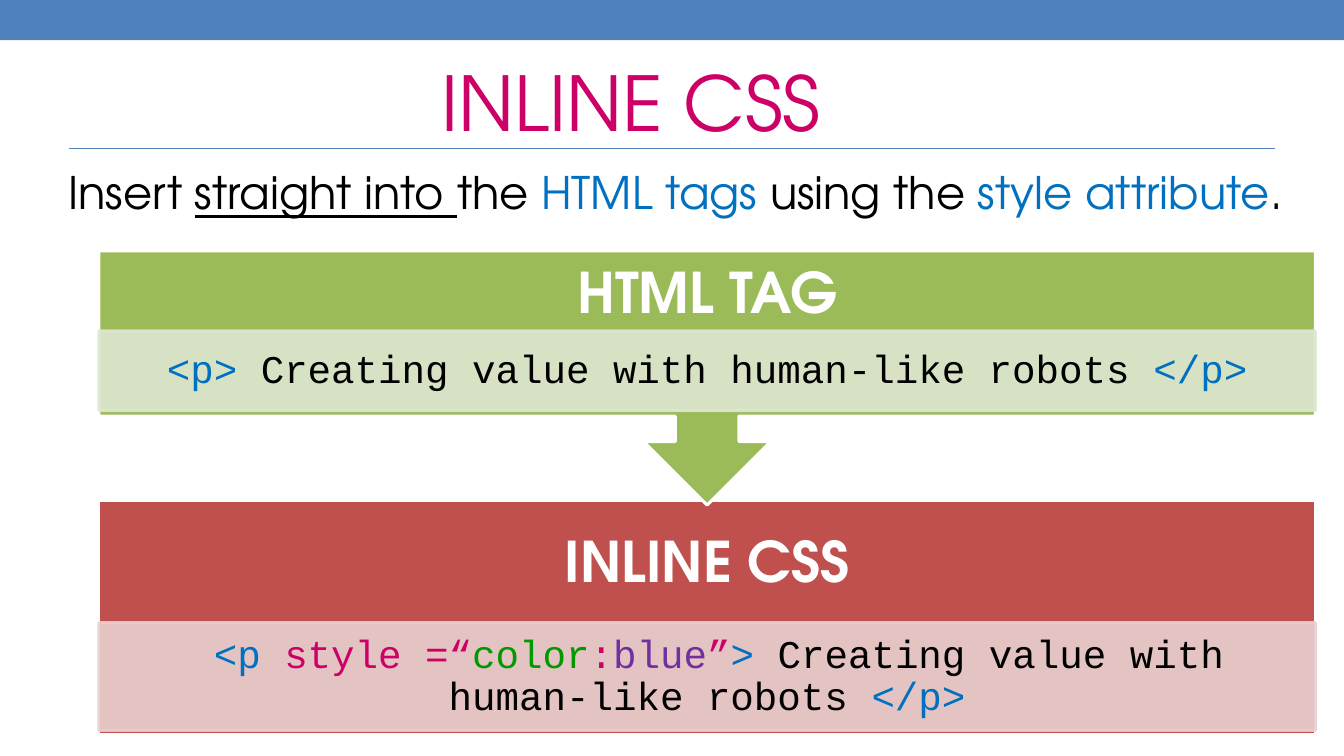
from dataclasses import dataclass

from lxml.etree import SubElement
from pptx import Presentation
from pptx.dml.color import RGBColor
from pptx.enum.shapes import MSO_CONNECTOR, MSO_SHAPE
from pptx.enum.text import MSO_ANCHOR, MSO_AUTO_SIZE, PP_ALIGN
from pptx.oxml.ns import qn
from pptx.util import Pt


@dataclass(frozen=True)
class Theme:
    sans: str = "TeX Gyre Adventor"
    mono: str = "Courier New"
    title_size: int = 54
    heading_size: int = 40
    intro_size: int = 32
    code_size: int = 28
    black: str = "000000"
    white: str = "FFFFFF"
    bar: str = "4F81BD"
    pink: str = "CC0066"
    blue: str = "0070C0"
    green: str = "009900"
    purple: str = "7030A0"
    html_band: str = "9BBB59"
    html_panel: str = "DEE7D1"
    css_band: str = "C0504D"
    css_panel: str = "E8D0D0"


@dataclass(frozen=True)
class Box:
    left: float
    top: float
    width: float
    height: float

    def lengths(self):
        return Pt(self.left), Pt(self.top), Pt(self.width), Pt(self.height)

    def slice(self, top, height):
        return Box(self.left, self.top + top, self.width, height)


THEME = Theme()


def write_text(shape, spans, size, font=THEME.sans, color=THEME.black, bold=False,
               anchor=MSO_ANCHOR.MIDDLE, margins=(7.2, 3.6, 7.2, 3.6),
               line_spacing=None, space_before=0, indent=0):
    frame = shape.text_frame
    frame.word_wrap = True
    frame.auto_size = MSO_AUTO_SIZE.NONE
    frame.vertical_anchor = anchor
    (frame.margin_left, frame.margin_top,
     frame.margin_right, frame.margin_bottom) = map(Pt, margins)
    para = frame.paragraphs[0]
    para.alignment = PP_ALIGN.CENTER
    para.line_spacing = line_spacing
    para.space_before = Pt(space_before)
    properties = para._p.get_or_add_pPr()
    properties.set("marL", str(Pt(indent)))
    properties.set("indent", "0")
    SubElement(properties, qn("a:buNone"))
    for text, span_color, *underline in spans:
        span = para.add_run()
        span.text = text
        span.font.name = font
        span.font.size = Pt(size)
        span.font.bold = bold
        span.font.underline = bool(underline)
        span.font.color.rgb = RGBColor.from_string(span_color or color)


def set_alpha(color_format, percent):
    for color in color_format.iter(qn("a:srgbClr")):
        SubElement(color, qn("a:alpha")).set("val", str(percent * 1000))


def add_block(page, box, kind, fill, line=None, alpha=100):
    shape = page.shapes.add_shape(kind, *box.lengths())
    shape.shadow.inherit = False
    shape.fill.solid()
    shape.fill.fore_color.rgb = RGBColor.from_string(fill)
    if line:
        shape.line.color.rgb = RGBColor.from_string(line)
        shape.line.width = Pt(2.08)
    else:
        shape.line.fill.background()
    if alpha < 100:
        set_alpha(shape._element.spPr, alpha)
    return shape


def add_header(page, box):
    add_block(page, box.slice(0, 28.8), MSO_SHAPE.RECTANGLE, THEME.bar)
    rule = page.shapes.add_connector(
        MSO_CONNECTOR.STRAIGHT, Pt(box.left + 49), Pt(box.top + 105.8),
        Pt(box.left + 911), Pt(box.top + 105.8))
    rule.line.color.rgb = RGBColor.from_string(THEME.bar)
    rule.line.width = Pt(0.75)
    SubElement(rule._element.spPr, qn("a:effectLst"))
    title = page.shapes.title
    title.left, title.top, title.width, title.height = Box(
        box.left + 48, box.top + 33, 864, 78).lengths()
    write_text(title, [("INLINE CSS", THEME.pink)], THEME.title_size,
               margins=(7.2, 3.6, 66, 3.6))


def add_intro(page, box):
    body = page.placeholders[1]
    body.left, body.top, body.width, body.height = box.lengths()
    write_text(body, [
        ("Insert ", None), ("straight into ", None, "underlined"), ("the ", None),
        ("HTML tags ", THEME.blue), ("using the ", None),
        ("style attribute", THEME.blue), (".", None),
    ], THEME.intro_size, anchor=MSO_ANCHOR.TOP, space_before=4, indent=8.64)


def add_step(page, box, kind, heading, heading_height, code, code_top, code_height,
             band, panel):
    add_block(page, box, kind, band, THEME.white)
    label = page.shapes.add_textbox(*box.slice(0, heading_height).lengths())
    write_text(label, [(heading, THEME.white)], THEME.heading_size, bold=True,
               margins=(22.4, 22.4, 22.4, 22.4), line_spacing=0.9)
    detail = add_block(page, box.slice(code_top, code_height), MSO_SHAPE.RECTANGLE,
                       panel, panel, alpha=90)
    write_text(detail, code, THEME.code_size, font=THEME.mono,
               margins=(16, 2.8, 16, 2.8), line_spacing=0.9)


def add_steps(page, box):
    sentence = ("Creating value with human-like robots ", None)
    closing = ("</p>", THEME.blue)
    add_step(page, box.slice(178.5, 167), MSO_SHAPE.RECTANGLE, "INLINE CSS", 90, [
        (" ", None), ("<p ", THEME.blue), ("style =“", THEME.pink),
        ("color", THEME.green), (":", THEME.pink), ("blue", THEME.purple),
        ("”", THEME.pink), ("> ", THEME.blue), sentence, closing,
    ], 87, 77, THEME.css_band, THEME.css_panel)
    add_step(page, box.slice(0, 181.5), MSO_SHAPE.DOWN_ARROW_CALLOUT, "HTML TAG", 63.4,
             [("<p> ", THEME.blue), sentence, closing],
             57, 57, THEME.html_band, THEME.html_panel)


def main():
    deck = Presentation()
    deck.slide_width, deck.slide_height = Pt(960), Pt(540)
    page = deck.slides.add_slide(deck.slide_layouts[1])
    add_header(page, Box(0, 0, 960, 111))
    add_intro(page, Box(32.4, 113.8, 891.4, 54))
    add_steps(page, Box(70.6, 179.3, 869, 345.5))
    deck.save("out.pptx")


if __name__ == "__main__":
    main()
